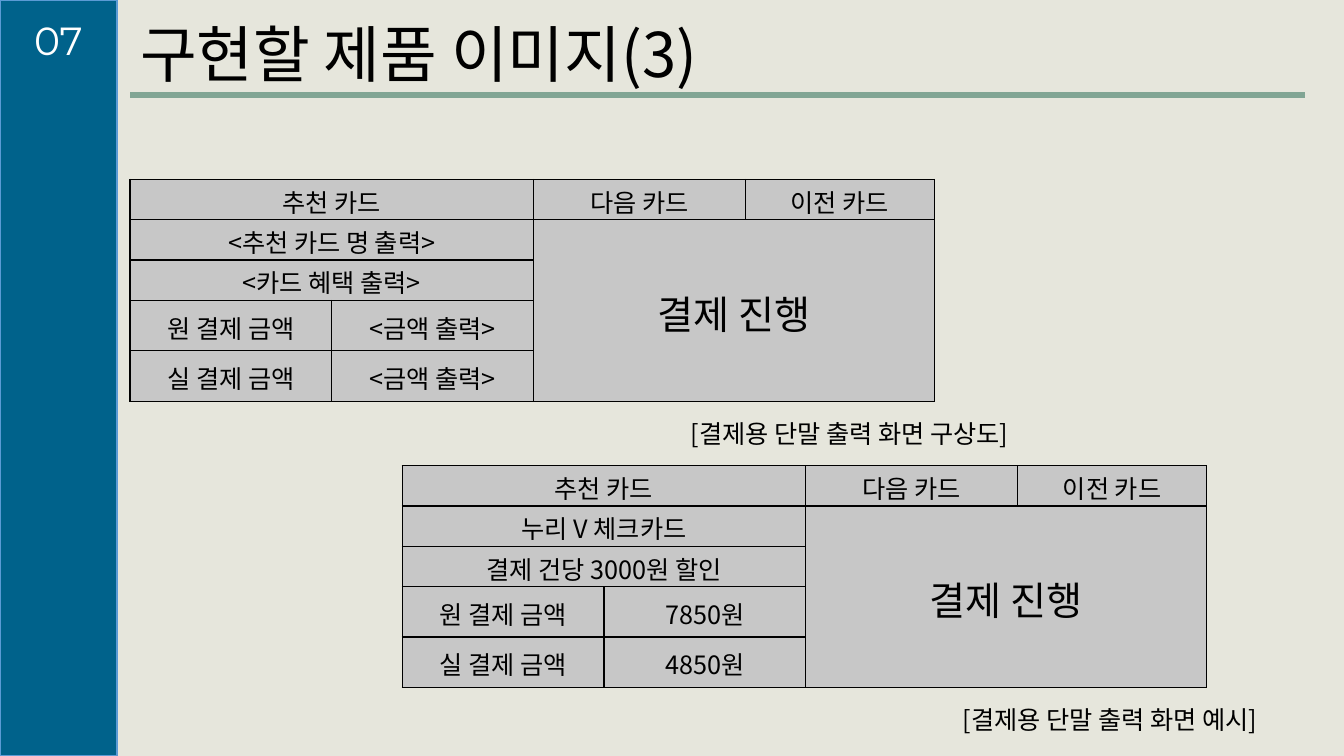
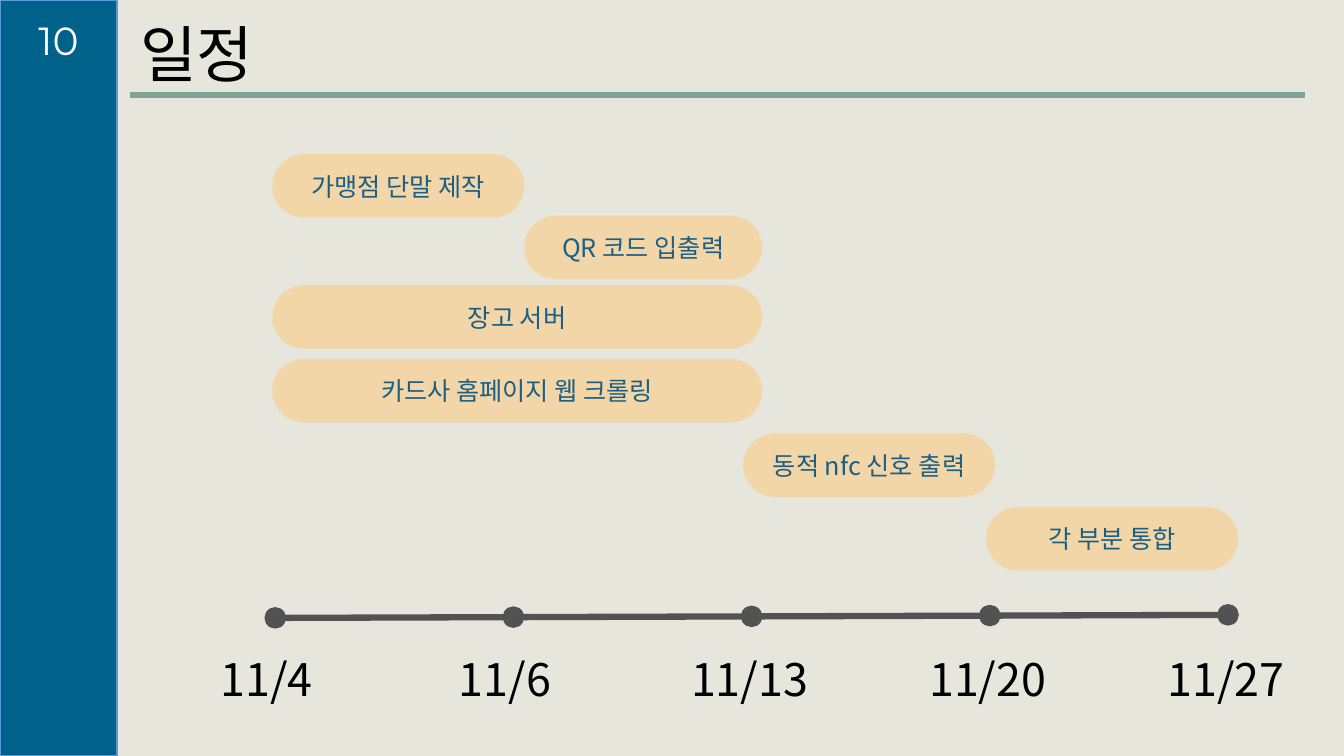
from lxml import etree
from pptx import Presentation
from pptx import util as u
from pptx.dml.color import RGBColor
from pptx.enum import shapes, text
from pptx.oxml import ns

PAPER = RGBColor(0xE6, 0xE6, 0xDC)
BAND = RGBColor(0x00, 0x62, 0x8B)
BAND_EDGE = RGBColor(0x5B, 0x9B, 0xD5)
RULE = RGBColor(0x81, 0xA5, 0x94)
INK = RGBColor(0, 0, 0)
WHITE = RGBColor(0xFF, 0xFF, 0xFF)
CELL = RGBColor(0xC7, 0xC7, 0xC7)
AXIS = RGBColor(0x52, 0x52, 0x52)
BAR = RGBColor(0xF3, 0xD6, 0xA8)
BAR_TEXT = RGBColor(0x1C, 0x5F, 0x83)

KOREAN, NUMERIC = "Noto Sans CJK KR", "Montserrat"
LEFT, CENTER = text.PP_ALIGN.LEFT, text.PP_ALIGN.CENTER
TOP, MIDDLE = text.MSO_ANCHOR.TOP, text.MSO_ANCHOR.MIDDLE
WIDTH, HEIGHT = 13.33, 7.5
MARGIN = 1.29


def inches(box):
    return [u.Inches(length) for length in box]


# ---- Shared text and drawing helpers ----
def write(frame, words, size, color=INK, align=LEFT, anchor=TOP, font=KOREAN):
    frame.text = words
    layout = {"word_wrap": True, "vertical_anchor": anchor}
    for name, value in layout.items():
        setattr(frame, name, value)
    paragraph = frame.paragraphs[0]
    paragraph.alignment = align
    run = paragraph.runs[0]
    for name, value in {"name": font, "size": u.Pt(size), "bold": False}.items():
        setattr(run.font, name, value)
    run.font.color.rgb = color
    east_asian = etree.SubElement(run.font._element, ns.qn("a:ea"))
    east_asian.set("typeface", font)


def add_label(slide, box, words, size, **style):
    write(slide.shapes.add_textbox(*inches(box)).text_frame, words, size, **style)


def add_block(slide, kind, box, fill, edge=None):
    block = slide.shapes.add_shape(kind, *inches(box))
    block.shadow.inherit = False
    block.fill.solid()
    block.fill.fore_color.rgb = fill
    if edge is None:
        block.line.fill.background()
    else:
        block.line.color.rgb = edge
        block.line.width = u.Pt(1)
    return block


def add_line(slide, start, end, color):
    line = slide.shapes.add_connector(
        shapes.MSO_CONNECTOR.STRAIGHT, *inches(start + end))
    line.line.color.rgb = color
    line.line.width = u.Pt(4.5)
    etree.SubElement(line._element.spPr, ns.qn("a:effectLst"))


# ---- Frame common to every slide: band, number, title, rule ----
def add_framed_slide(deck, number, heading):
    slide = deck.slides.add_slide(deck.slide_layouts[5])
    add_block(slide, shapes.MSO_SHAPE.RECTANGLE, (0, 0, 1.16, HEIGHT), BAND, BAND_EDGE)
    add_label(slide, (0.13, 0.11, 0.9, 0.57), number, 28,
              color=WHITE, align=CENTER, font=NUMERIC)
    title = slide.shapes.title
    title.left, title.top, title.width, title.height = inches((MARGIN, 0.11, 7.09, 0.84))
    title.text_frame.auto_size = text.MSO_AUTO_SIZE.NONE
    write(title.text_frame, heading, 44)
    add_line(slide, (MARGIN, 0.94), (12.94, 0.94), RULE)
    return slide


# ---- Payment terminal screen ----
def style_cell(cell):
    margins = {"margin_top": u.Inches(0.03), "margin_bottom": 0}
    for name, value in margins.items():
        setattr(cell, name, value)
    properties = cell._tc.get_or_add_tcPr()
    for side in ("lnL", "lnR", "lnT", "lnB"):
        border = etree.SubElement(properties, ns.qn(f"a:{side}"), w=str(u.Pt(1)))
        fill = etree.SubElement(border, ns.qn("a:solidFill"))
        etree.SubElement(fill, ns.qn("a:srgbClr"), val=str(INK))
    cell.fill.solid()
    cell.fill.fore_color.rgb = CELL


def add_terminal(slide, left, top, card, benefit, amounts, caption):
    columns, rows = (2, 2, 2.1, 1.88), (0.4, 0.4, 0.4, 0.5, 0.5)
    screen = slide.shapes.add_table(
        len(rows), len(columns),
        *inches((left, top, sum(columns), sum(rows)))).table
    screen.first_row = screen.horz_banding = False
    for column, width in zip(screen.columns, columns):
        column.width = u.Inches(width)
    for row, height in zip(screen.rows, rows):
        row.height = u.Inches(height)
    for cell in screen.iter_cells():
        style_cell(cell)

    # Merged areas: three wide rows and the payment button
    for row in range(3):
        screen.cell(row, 0).merge(screen.cell(row, 1))
    screen.cell(1, 2).merge(screen.cell(4, 3))

    contents = {
        (0, 0): "추천 카드", (0, 2): "다음 카드", (0, 3): "이전 카드",
        (1, 0): card, (1, 2): "결제 진행", (2, 0): benefit,
        (3, 0): "원 결제 금액", (3, 1): amounts[0],
        (4, 0): "실 결제 금액", (4, 1): amounts[1],
    }
    for place, words in contents.items():
        cell = screen.cell(*place)
        cell.vertical_anchor = MIDDLE
        write(cell.text_frame, words, 28 if place == (1, 2) else 18,
              align=CENTER, anchor=MIDDLE)
    add_label(slide, (left + 5.46, top + 2.32, 3.78, 0.4), caption, 18)


def build_product_slide(deck):
    slide = add_framed_slide(deck, "07", "구현할 제품 이미지(3)")
    add_terminal(slide, MARGIN, 1.78, "<추천 카드 명 출력>", "<카드 혜택 출력>",
                 ("<금액 출력>", "<금액 출력>"), "[결제용 단말 출력 화면 구상도]")
    add_terminal(slide, 3.99, 4.62, "누리 V 체크카드", "결제 건당 3000원 할인",
                 ("7850원", "4850원"), "[결제용 단말 출력 화면 예시]")


# ---- Schedule ----
def add_timeline(slide, start, end, dates):
    add_line(slide, start, end, AXIS)
    radius = 0.1
    for index, date in enumerate(dates):
        share = index / (len(dates) - 1)
        x, y = (a + (b - a) * share for a, b in zip(start, end))
        add_block(slide, shapes.MSO_SHAPE.OVAL,
                  (x - radius, y - radius, 2 * radius, 2 * radius), AXIS, AXIS)
        offset = 0.64 if len(date) < 5 else 0.7
        add_label(slide, (x - offset, 6.42, 1.39, 0.64), date, 32)


def add_task(slide, left, right, top, task):
    bar = add_block(slide, shapes.MSO_SHAPE.ROUNDED_RECTANGLE,
                    (left, top, right - left, 0.63), BAR)
    bar.adjustments[0] = 0.5
    write(bar.text_frame, task, 18, color=BAR_TEXT, align=CENTER, anchor=MIDDLE)


def build_schedule_slide(deck):
    slide = add_framed_slide(deck, "10", "일정")
    add_timeline(slide, (2.73, 6.13), (12.18, 6.1),
                 ("11/4", "11/6", "11/13", "11/20", "11/27"))
    tasks = (
        (2.7, 5.2, 1.53, "가맹점 단말 제작"),
        (5.2, 7.56, 2.14, "QR 코드 입출력"),
        (2.7, 7.56, 2.83, "장고 서버"),
        (2.7, 7.56, 3.56, "카드사 홈페이지 웹 크롤링"),
        (7.37, 9.87, 4.3, "동적 nfc 신호 출력"),
        (9.78, 12.28, 5.03, "각 부분 통합"),
    )
    for task in tasks:
        add_task(slide, *task)


def main():
    deck = Presentation()
    deck.slide_width, deck.slide_height = inches((WIDTH, HEIGHT))
    backdrop = deck.slide_master.background.fill
    backdrop.solid()
    backdrop.fore_color.rgb = PAPER
    build_product_slide(deck)
    build_schedule_slide(deck)
    deck.save("out.pptx")


if __name__ == "__main__":
    main()
